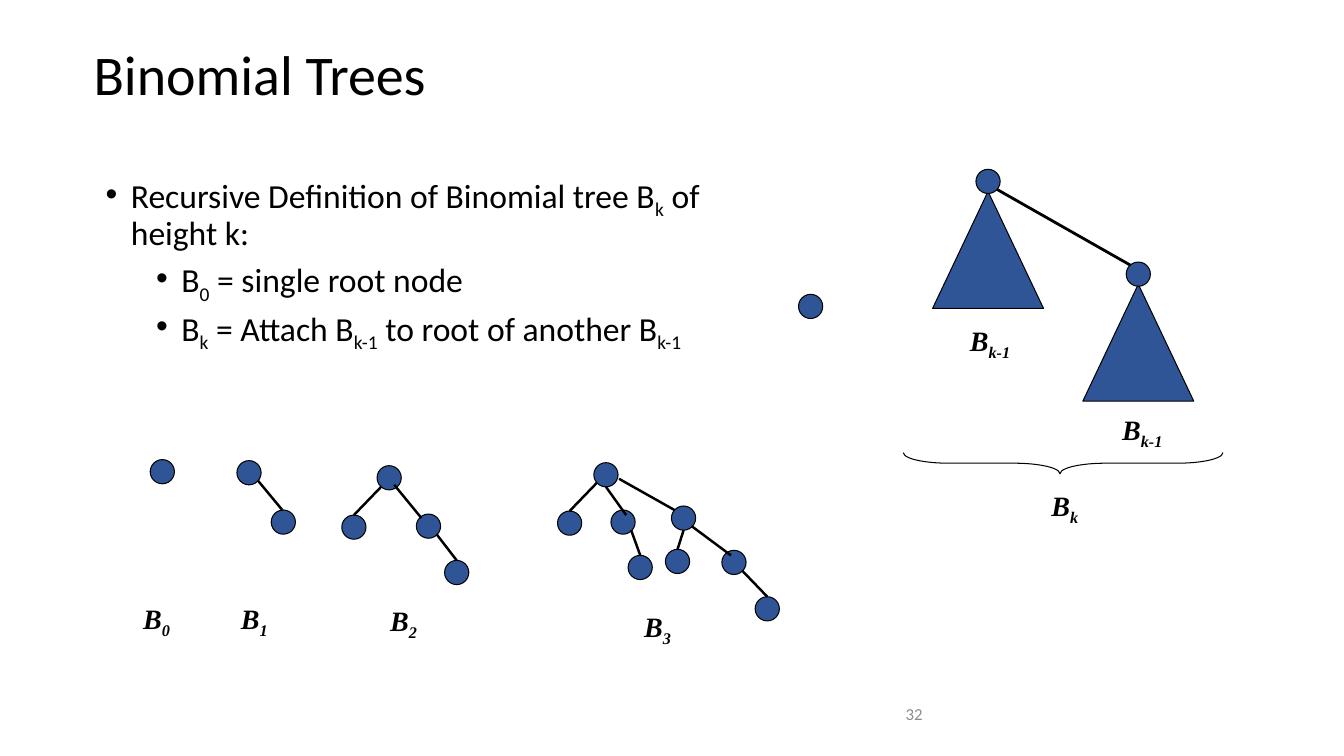
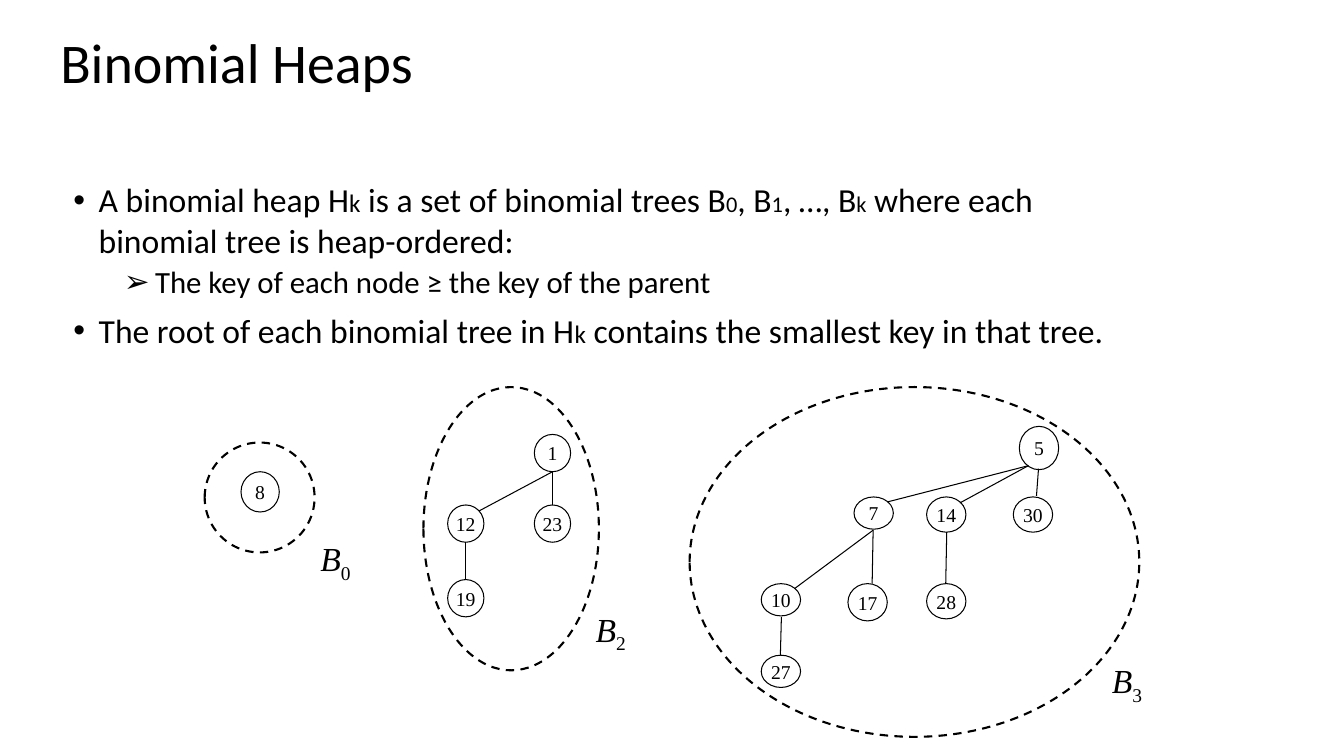
from lxml import etree
from pptx import Presentation
from pptx.dml.color import RGBColor
from pptx.enum.dml import MSO_LINE
from pptx.enum.shapes import MSO_CONNECTOR, MSO_SHAPE as Preset
from pptx.enum.text import MSO_ANCHOR as Anchor, PP_ALIGN as Align
from pptx.oxml.ns import qn
from pptx.util import Inches, Pt

BLACK, BLUE, GREY = "000000", "2F5597", "8C8C8C"
SERIF = "Times New Roman"
NODE = 0.24

# Paragraph styles
TITLE = dict(size=40, spacing=0.9)
BULLET = dict(size=24, spacing=0.9, before=10, bullet="•", margin=0.25, hang=0.25)
SUB_BULLET = BULLET | dict(before=5, margin=0.75)
ARROW_BULLET = SUB_BULLET | dict(size=22, bullet="➢", margin=0.81, hang=0.31)
TREE_LABEL = dict(size=20, font=SERIF, bold=True, italic=True, sub_italic=True)
HEAP_LABEL = dict(size=24, font=SERIF, italic=True)
KEY = dict(size=14, font=SERIF, align=Align.CENTER)


def add_item(slide, kind, at, fill=None, weight=0.75, dash=None):
    """Add a text box, a line (from x, y to x, y) or a preset shape."""
    box = [Inches(value) for value in at]
    if kind == "text":
        shape = slide.shapes.add_textbox(*box)
        shape.text_frame.word_wrap = True
        return shape
    if kind == "line":
        shape = slide.shapes.add_connector(MSO_CONNECTOR.STRAIGHT, *box)
        etree.SubElement(shape._element.spPr, qn("a:effectLst"))
    else:
        shape = slide.shapes.add_shape(kind, *box)
        shape.shadow.inherit = False
        if fill:
            shape.fill.solid()
            shape.fill.fore_color.rgb = RGBColor.from_string(fill)
        else:
            shape.fill.background()
    shape.line.color.rgb = RGBColor.from_string(BLACK)
    shape.line.width = Pt(weight)
    if dash:
        shape.line.dash_style = dash
    return shape


def write(shape, *paragraphs, color=BLACK):
    """Fill a shape; every second run is a subscript, or small text with its size."""
    frame = shape.text_frame
    for index, (style, runs) in enumerate(paragraphs):
        paragraph = frame.add_paragraph() if index else frame.paragraphs[0]
        paragraph.alignment = style.get("align", Align.LEFT)
        paragraph.line_spacing = style.get("spacing", 1.0)
        paragraph.space_before = Pt(style.get("before", 0))
        if "bullet" in style:
            properties = paragraph._p.get_or_add_pPr()
            properties.set("marL", str(Inches(style["margin"])))
            properties.set("indent", str(-Inches(style["hang"])))
            etree.SubElement(properties, qn("a:buFont")).set("typeface", "Arial")
            etree.SubElement(properties, qn("a:buChar")).set("char", style["bullet"])
        for position, text in enumerate(runs):
            is_sub = position % 2 == 1
            size = style["size"]
            run = paragraph.add_run()
            if isinstance(text, tuple):
                text, size = text
            elif is_sub:
                run._r.get_or_add_rPr().set("baseline", "-25000")
            run.text = text
            run.font.name = style.get("font", "Calibri")
            run.font.size = Pt(size)
            run.font.bold = style.get("bold", False)
            run.font.italic = style.get("sub_italic" if is_sub else "italic", False)
            run.font.color.rgb = RGBColor.from_string(color)


presentation = Presentation()
presentation.slide_width = Inches(13.33)
presentation.slide_height = Inches(7.5)
blank = presentation.slide_layouts[6]

# Slide 1: definition
slide = presentation.slides.add_slide(blank)
write(add_item(slide, "text", (0.83, 0.42, 8.5, 1.25)), (TITLE, ["Binomial Trees"]))
write(
    add_item(slide, "text", (0.95, 1.69, 6.49, 3.47)),
    (BULLET, ["Recursive Definition of Binomial tree B", "k", " of height k:"]),
    (SUB_BULLET, ["B", "0", " = single root node"]),
    (SUB_BULLET, ["B", "k", " = Attach B", "k-1", " to root of another B", "k-1"]),
)
number = add_item(slide, "text", (7.17, 6.83, 2.08, 0.5))
number.text_frame.vertical_anchor = Anchor.MIDDLE
write(number, (dict(size=12, align=Align.RIGHT), ["32"]), color=GREY)

# Two joined subtrees under a brace
for left, top in [(10.74, 2.6), (9.25, 1.68)]:
    add_item(slide, Preset.ISOSCELES_TRIANGLE, (left, top + 0.22, 1.1, 1.16), BLUE)
    add_item(slide, Preset.OVAL, (left + 0.43, top, NODE, NODE), BLUE)
add_item(slide, "line", (9.89, 1.88, 11.21, 2.63), weight=2)
brace = add_item(slide, Preset.LEFT_BRACE, (10.44, 3.01, 0.21, 3.17))
brace.rotation = 270
brace.adjustments[0], brace.adjustments[1] = 2.14, 0.49

# Example trees: nodes by left and top, edges by both ends
nodes = [
    (7.92, 2.92),
    (1.49, 4.56),
    (2.35, 4.57), (2.69, 5.06),
    (3.74, 4.62), (3.39, 5.11), (4.13, 5.1), (4.41, 5.56),
    (5.89, 4.59), (5.53, 5.07), (6.06, 5.06), (6.66, 5.02),
    (6.23, 5.51), (6.6, 5.45), (7.16, 5.46), (7.49, 5.92),
]
edges = [
    (2.56, 4.77, 2.8, 5.06),
    (3.78, 4.83, 3.51, 5.11), (3.91, 4.81, 4.18, 5.14), (4.33, 5.3, 4.53, 5.56),
    (5.92, 4.79, 5.65, 5.07), (6.01, 4.83, 6.21, 5.11), (6.14, 4.75, 6.69, 5.06),
    (6.26, 5.26, 6.35, 5.51), (6.78, 5.26, 6.72, 5.45), (6.86, 5.22, 7.25, 5.51),
    (7.36, 5.66, 7.61, 5.92),
]
for left, top in nodes:
    add_item(slide, Preset.OVAL, (left, top, NODE, NODE), BLUE)
for edge in edges:
    add_item(slide, "line", edge, weight=1.75)

tree_labels = [
    ("k-1", 11.03, 4.04), ("k-1", 9.52, 3.16), ("k", 10.33, 4.8),
    ("0", 1.32, 5.92), ("1", 2.29, 5.92), ("2", 3.77, 5.94), ("3", 6.29, 6),
]
for order, left, top in tree_labels:
    write(add_item(slide, "text", (left, top, 0.81, 0.44)), (TREE_LABEL, ["B", order]))

# Slide 2: definition
slide = presentation.slides.add_slide(blank)
write(add_item(slide, "text", (0.5, 0.3, 9.17, 1.25)), (TITLE, ["Binomial Heaps"]))
write(
    add_item(slide, "text", (0.63, 1.73, 10.61, 2.38)),
    (BULLET | dict(spacing=1.0), [
        "A binomial heap H", ("k", 18), " is a set of binomial trees B", ("0", 16),
        ", B", ("1", 16), ", …, B", ("k", 16),
        " where each binomial tree is heap-ordered:",
    ]),
    (ARROW_BULLET, ["The key of each node ≥ the key of the parent"]),
    (BULLET, ["The root of each binomial tree in H", ("k", 18),
              " contains the smallest key in that tree."]),
)

# Heap nodes with their keys
heap_nodes = [
    ("8", 2.39, 4.68, 0.38, 0.4),
    ("1", 5.3, 4.31, 0.36, 0.37), ("12", 4.44, 5.01, 0.36, 0.37),
    ("23", 5.3, 5.01, 0.36, 0.37), ("19", 4.44, 5.75, 0.36, 0.37),
    ("5", 10.11, 4.23, 0.39, 0.43), ("7", 8.47, 4.93, 0.39, 0.32),
    ("14", 9.19, 4.93, 0.39, 0.35), ("30", 10.05, 4.93, 0.39, 0.35),
    ("10", 7.55, 5.79, 0.39, 0.32), ("17", 8.41, 5.79, 0.39, 0.37),
    ("28", 9.19, 5.79, 0.39, 0.35), ("27", 7.55, 6.5, 0.39, 0.32),
]
for key, *at in heap_nodes:
    node = add_item(slide, Preset.OVAL, at)
    frame = node.text_frame
    frame.margin_left = frame.margin_right = frame.margin_top = frame.margin_bottom = 0
    frame.word_wrap = False
    frame.vertical_anchor = Anchor.MIDDLE
    write(node, (KEY, [key]))

heap_edges = [
    (5.48, 4.68, 4.75, 5.07), (5.48, 4.68, 5.48, 5.01), (4.62, 5.38, 4.62, 5.75),
    (10.2, 4.62, 8.8, 4.98), (10.2, 4.62, 9.52, 4.99), (10.3, 4.65, 10.28, 4.92),
    (8.66, 5.26, 7.88, 5.84), (8.66, 5.26, 8.65, 5.79), (9.39, 5.28, 9.38, 5.79),
    (7.75, 6.12, 7.74, 6.5),
]
for edge in heap_edges:
    add_item(slide, "line", edge)

# Dashed outline and label of each tree
outlines = [
    ("0", (2.03, 4.39, 1.09, 1.09), (3.08, 5.29)),
    ("2", (4.2, 3.84, 1.74, 2.81), (5.81, 5.99)),
    ("3", (6.84, 3.84, 4.46, 3.47), (10.93, 6.5)),
]
for order, outline, corner in outlines:
    add_item(slide, Preset.OVAL, outline, weight=1.5, dash=MSO_LINE.DASH)
    write(add_item(slide, "text", (*corner, 0.52, 0.51)), (HEAP_LABEL, ["B", order]))

presentation.save("out.pptx")
